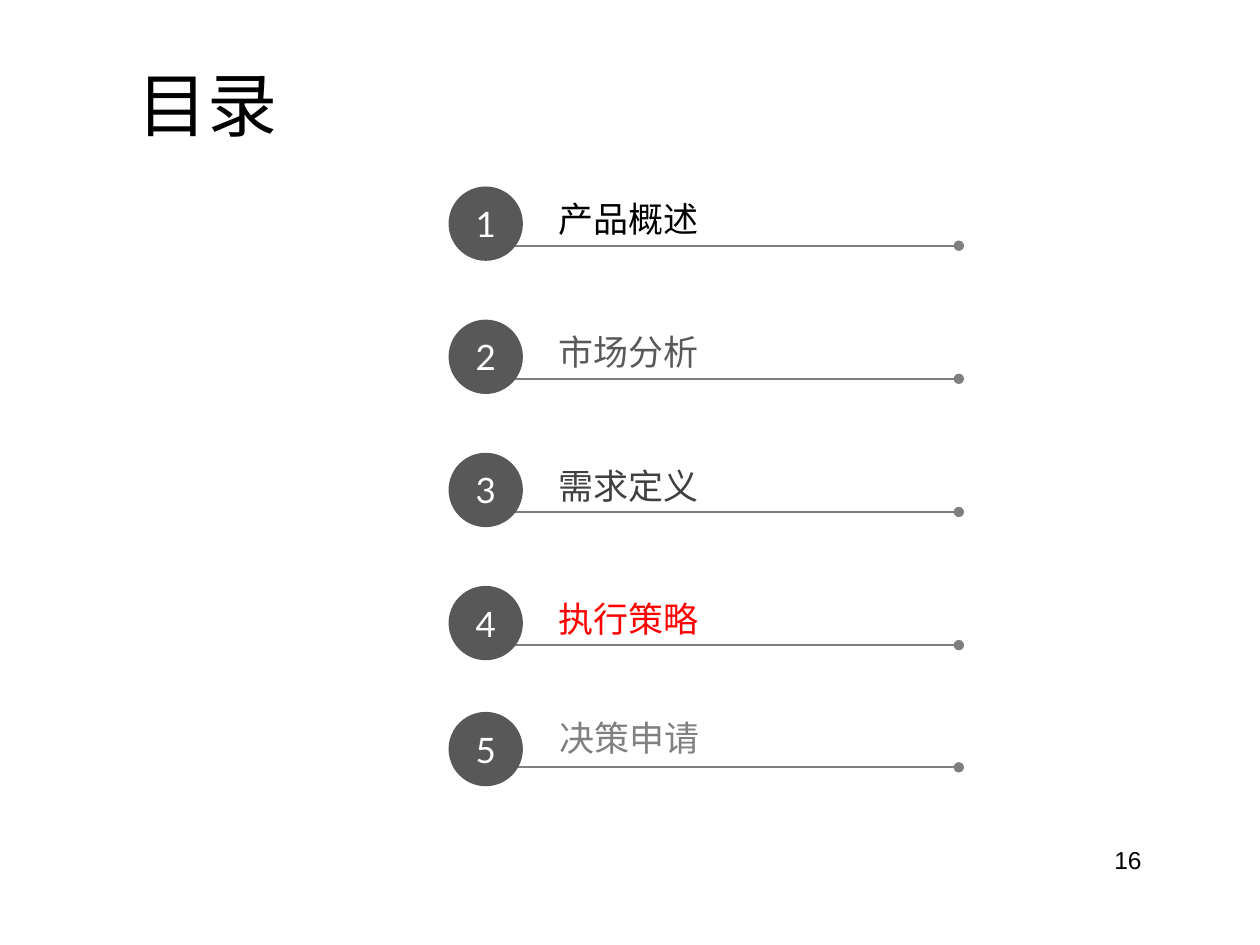
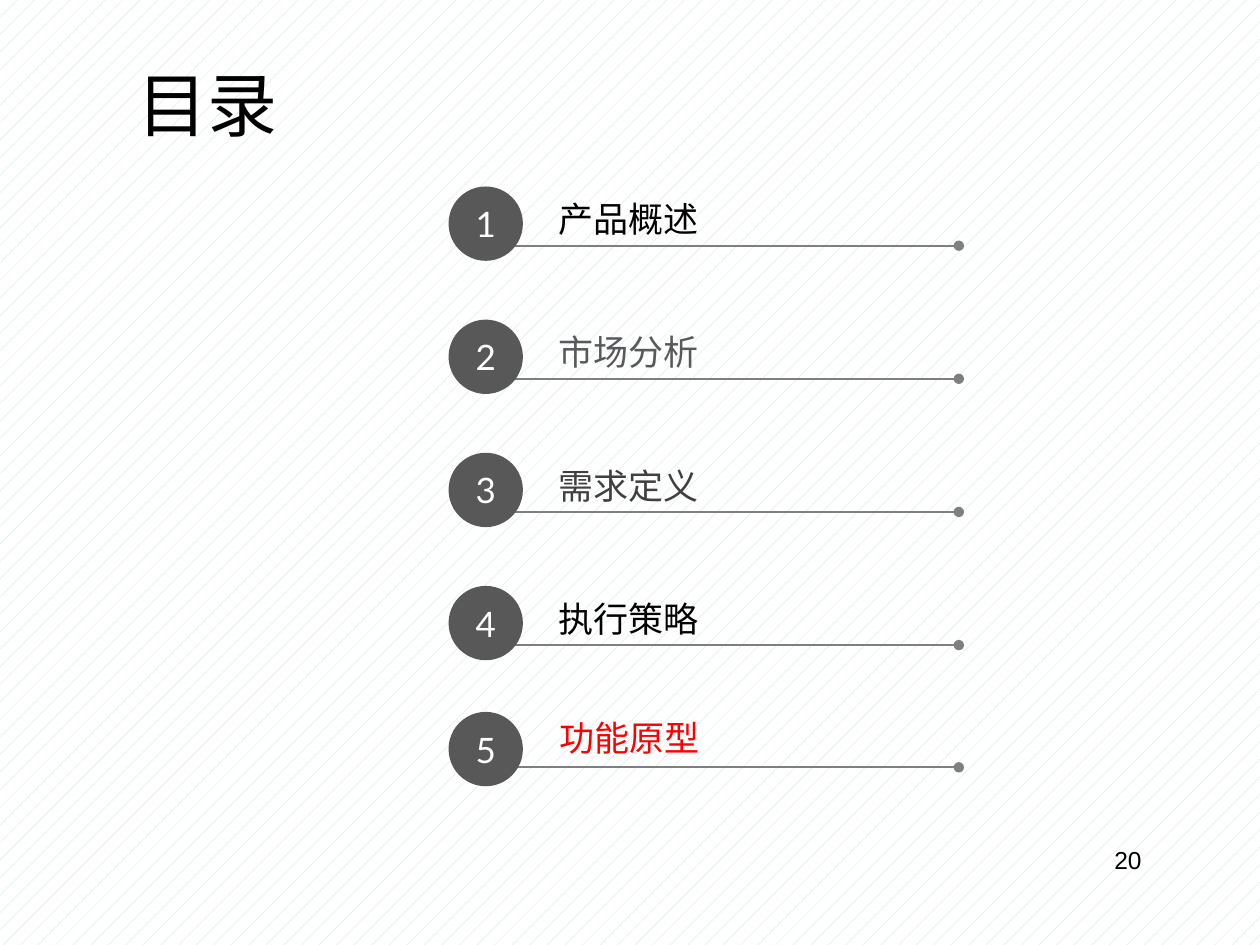
"""Build two agenda slides, each highlighting the current section."""
from pptx import Presentation
from pptx.dml.color import RGBColor
from pptx.enum.dml import MSO_PATTERN
from pptx.enum.shapes import MSO_CONNECTOR as Connector, MSO_SHAPE as Shape
from pptx.enum.text import MSO_ANCHOR as Anchor, MSO_AUTO_SIZE as AutoSize, PP_ALIGN as Align
from pptx.oxml.ns import qn
from pptx.util import Inches, Pt
from lxml import etree

THEME = {
    "ink": "000000", "paper": "FFFFFF", "pattern": "BBE0E3",
    "badge": "585858", "rule": "7F7F7F", "current": "FF0000",
    "slate": "58595B", "charcoal": "404040", "grey": "808080",
    "latin": "Arial", "cjk": "Noto Sans CJK SC", "digits": "Lato",
    "title_size": 40, "item_size": 20, "page_size": 14, "rule_width": 1,
}
WIDE_INSETS = (0.1, 0.05)
ITEM_INSETS = (0.07, 0.04)


def color(name):
    return RGBColor.from_string(THEME[name])


def write(shape, text, font, size, ink, align, insets, anchor=Anchor.TOP, fit=AutoSize.NONE):
    side, edge = map(Inches, insets)
    frame = shape.text_frame
    frame_format = {
        "word_wrap": True, "auto_size": fit, "vertical_anchor": anchor,
        "margin_left": side, "margin_right": side,
        "margin_top": edge, "margin_bottom": edge,
    }
    for attribute, value in frame_format.items():
        setattr(frame, attribute, value)
    paragraph = frame.paragraphs[0]
    paragraph.alignment = align
    run = paragraph.add_run()
    run.text = text
    for attribute, value in {"name": THEME[font], "size": Pt(THEME[size])}.items():
        setattr(run.font, attribute, value)
    run.font.color.rgb = color(ink)
    etree.SubElement(run.font._element, qn("a:ea")).set("typeface", THEME["cjk"])


COMMON_ITEMS = [("产品概述", "ink"), ("市场分析", "slate"), ("需求定义", "charcoal")]
AGENDAS = [
    {"page": "16", "patterned": False,
     "items": COMMON_ITEMS + [("执行策略", "current"), ("决策申请", "grey")]},
    {"page": "20", "patterned": True,
     "items": COMMON_ITEMS + [("执行策略", "ink"), ("功能原型", "current")]},
]
FIRST_TOP, FOURTH_TOP, LAST_TOP = 1.48, 4.65, 5.65
PITCH = (FOURTH_TOP - FIRST_TOP) / 3
ROWS = [(FIRST_TOP + PITCH * i, 4.36, 0.05, 0.47) for i in range(4)]
ROWS.append((LAST_TOP, 4.37, 0, 0.44))
LABEL_WIDTHS = [2.77, 3.72, 2.77, 2.77, 2.77]
BADGE_SIZE = Inches(0.59)

deck = Presentation()
deck.slide_width, deck.slide_height = Inches(10), Inches(7.5)

for agenda in AGENDAS:
    slide = deck.slides.add_slide(deck.slide_layouts[5])
    backdrop = slide.background.fill
    if agenda["patterned"]:
        backdrop.patterned()
        backdrop.pattern = MSO_PATTERN.PERCENT_5
        backdrop.fore_color.rgb = color("pattern")
        backdrop.back_color.rgb = color("paper")
    else:
        backdrop.solid()
        backdrop.fore_color.rgb = color("paper")

    page_number = slide.shapes.add_textbox(Inches(6.83), Inches(6.66), Inches(2.33), Inches(0.52))
    write(page_number, agenda["page"], "latin", "page_size", "ink", Align.RIGHT, WIDE_INSETS)

    heading = slide.shapes.title
    heading_place = {"left": 0.35, "top": 0.44, "width": 2.6, "height": 0.77}
    for attribute, value in heading_place.items():
        setattr(heading, attribute, Inches(value))
    write(heading, "目录", "latin", "title_size", "ink", Align.CENTER, WIDE_INSETS,
          fit=AutoSize.SHAPE_TO_FIT_TEXT)

    entries = zip(agenda["items"], ROWS, LABEL_WIDTHS)
    for number, ((topic, ink), (top, left, label_drop, rule_drop), width) in enumerate(entries, 1):
        label = slide.shapes.add_textbox(Inches(left), Inches(top + label_drop),
                                         Inches(width), Inches(0.43))
        write(label, topic, "cjk", "item_size", ink, Align.LEFT, ITEM_INSETS,
              fit=AutoSize.SHAPE_TO_FIT_TEXT)

        rule_y = Inches(top + rule_drop)
        rule = slide.shapes.add_connector(Connector.STRAIGHT, Inches(4.06), rule_y,
                                          Inches(7.61), rule_y)
        rule.line.color.rgb = color("rule")
        rule.line.width = Pt(THEME["rule_width"])
        etree.SubElement(rule.line._get_or_add_ln(), qn("a:tailEnd")).set("type", "oval")
        etree.SubElement(rule._element.spPr, qn("a:effectLst"))

        badge = slide.shapes.add_shape(Shape.OVAL, Inches(3.56), Inches(top),
                                       BADGE_SIZE, BADGE_SIZE)
        badge.shadow.inherit = False
        badge.fill.solid()
        badge.fill.fore_color.rgb = color("badge")
        badge.line.fill.background()
        write(badge, str(number), "digits", "item_size", "paper", Align.CENTER,
              ITEM_INSETS, anchor=Anchor.MIDDLE)

deck.save("out.pptx")
